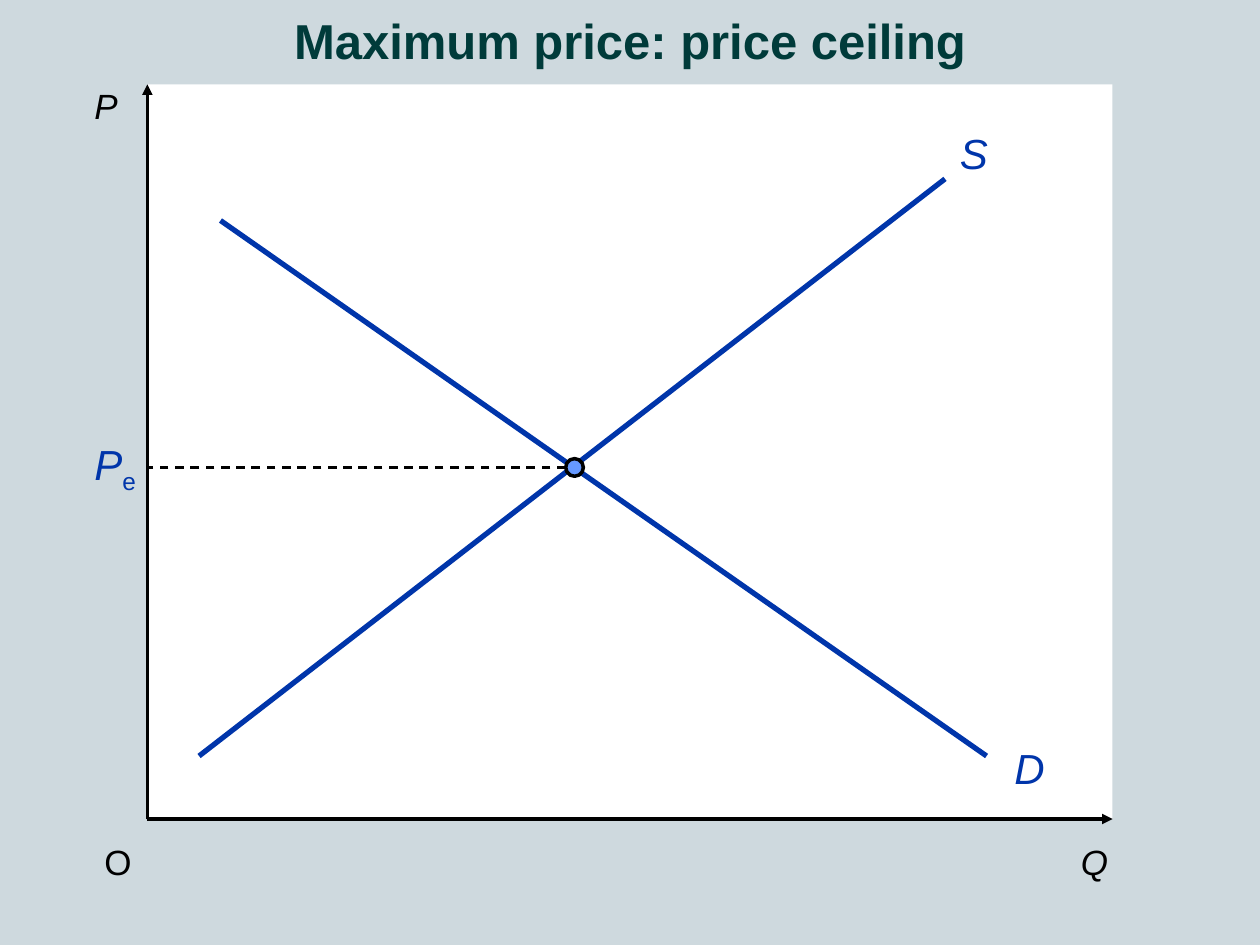
from lxml.etree import SubElement, fromstring
from pptx import Presentation
from pptx.dml.color import RGBColor
from pptx.enum.dml import MSO_LINE
from pptx.enum.shapes import MSO_CONNECTOR, MSO_SHAPE
from pptx.enum.text import MSO_ANCHOR, MSO_AUTO_SIZE, PP_ALIGN
from pptx.oxml.ns import nsdecls, qn
from pptx.util import Inches, Pt

BLACK, BLUE = "000000", "0035AA"


def color(hex_value):
    return RGBColor.from_string(hex_value)


def box(left, top, width, height):
    return [Inches(n) for n in (left, top, width, height)]


class Diagram:
    """Holds the style and the slide being drawn."""

    font = "Arial"

    def __init__(self, slide, background):
        self.slide = slide
        self.shapes = slide.shapes
        slide.background.fill.solid()
        slide.background.fill.fore_color.rgb = color(background)

    def add_run(self, paragraph, text, size, ink, italic=False, bold=False):
        run = paragraph.add_run()
        run.text = text
        run.font.name = self.font
        run.font.size = Pt(size)
        run.font.italic = italic
        run.font.bold = bold
        run.font.color.rgb = color(ink)
        return run

    def title(self, text, place, size, ink):
        heading = self.shapes.title
        heading.left, heading.top, heading.width, heading.height = box(*place)
        frame = heading.text_frame
        frame.word_wrap = True
        frame.auto_size = MSO_AUTO_SIZE.SHAPE_TO_FIT_TEXT
        frame.vertical_anchor = MSO_ANCHOR.TOP
        paragraph = frame.paragraphs[0]
        paragraph.alignment = PP_ALIGN.CENTER
        run = self.add_run(paragraph, text, size, ink, bold=True)
        text_shadow = fromstring(
            f'<a:effectLst {nsdecls("a")}><a:outerShdw dist="25400" dir="2700000">'
            f'<a:srgbClr val="{BLACK}"/></a:outerShdw></a:effectLst>')
        run.font._element.find(qn("a:solidFill")).addnext(text_shadow)

    def label(self, text, place, size=20, ink=BLACK, italic=True,
              align=PP_ALIGN.LEFT, subscript=""):
        frame = self.shapes.add_textbox(*box(*place)).text_frame
        frame.word_wrap = False
        frame.auto_size = MSO_AUTO_SIZE.SHAPE_TO_FIT_TEXT
        paragraph = frame.paragraphs[0]
        paragraph.alignment = align
        self.add_run(paragraph, text, size, ink, italic)
        if subscript:
            lowered = self.add_run(paragraph, subscript, size, ink)
            lowered.font._element.set("baseline", "-25000")

    def shape(self, kind, place, fill, outline=None, weight=0):
        item = self.shapes.add_shape(kind, *box(*place))
        item.shadow.inherit = False
        item.fill.solid()
        item.fill.fore_color.rgb = color(fill)
        if outline:
            item.line.color.rgb = color(outline)
            item.line.width = Pt(weight)
        else:
            item.line.fill.background()

    def line(self, start, end, ink, weight, dash=None, arrow=False):
        """Draw a straight line, with an arrowhead at its end if asked."""
        item = self.shapes.add_connector(
            MSO_CONNECTOR.STRAIGHT, *box(*start, *end))
        item.line.color.rgb = color(ink)
        item.line.width = Pt(weight)
        if dash:
            item.line.dash_style = dash
        if arrow:
            SubElement(item.line._get_or_add_ln(), qn("a:tailEnd"), type="triangle")
        SubElement(item._element.spPr, qn("a:effectLst"))


def main():
    deck = Presentation()
    deck.slide_width, deck.slide_height = Inches(10), Inches(7.5)
    diagram = Diagram(deck.slides.add_slide(deck.slide_layouts[5]), "CED9DE")

    left, top, right, bottom = 1.17, 0.67, 8.83, 6.5
    price, dot = 3.71, 0.14
    equilibrium = 4.56

    diagram.title("Maximum price: price ceiling", (0, 0.03, 10, 0.57), 28, "003B3A")
    diagram.shape(MSO_SHAPE.RECTANGLE,
                  (left, top, right - left, bottom - top), "FFFFFF")

    diagram.label("P", (0.65, 0.62, 0.47, 0.43))
    diagram.label("Q", (8.48, 6.62, 0.5, 0.43))
    diagram.label("O", (0.73, 6.62, 0.42, 0.43), italic=False)

    supply = (1.58, 6), (7.5, 1.42)
    demand = (1.75, 1.75), (7.83, 6)
    for curve in (supply, demand):
        diagram.line(*curve, BLUE, 3)
    diagram.shape(MSO_SHAPE.OVAL,
                  (equilibrium - dot / 2, price - dot / 2, dot, dot),
                  "6699FF", BLACK, 2)

    diagram.label("P", (0.65, 3.43, 0.53, 0.56), 24, BLUE, subscript="e")
    diagram.label("S", (7.52, 0.96, 0.42, 0.5), 24, BLUE, align=PP_ALIGN.CENTER)
    diagram.label("D", (7.95, 5.84, 0.44, 0.5), 24, BLUE, align=PP_ALIGN.CENTER)

    origin = left, bottom
    for axis_end in ((right, bottom), (left, top)):
        diagram.line(origin, axis_end, BLACK, 2, arrow=True)
    diagram.line((equilibrium - dot / 2, price), (left, price), BLACK, 1.25,
                 dash=MSO_LINE.DASH)

    deck.save("out.pptx")


if __name__ == "__main__":
    main()
